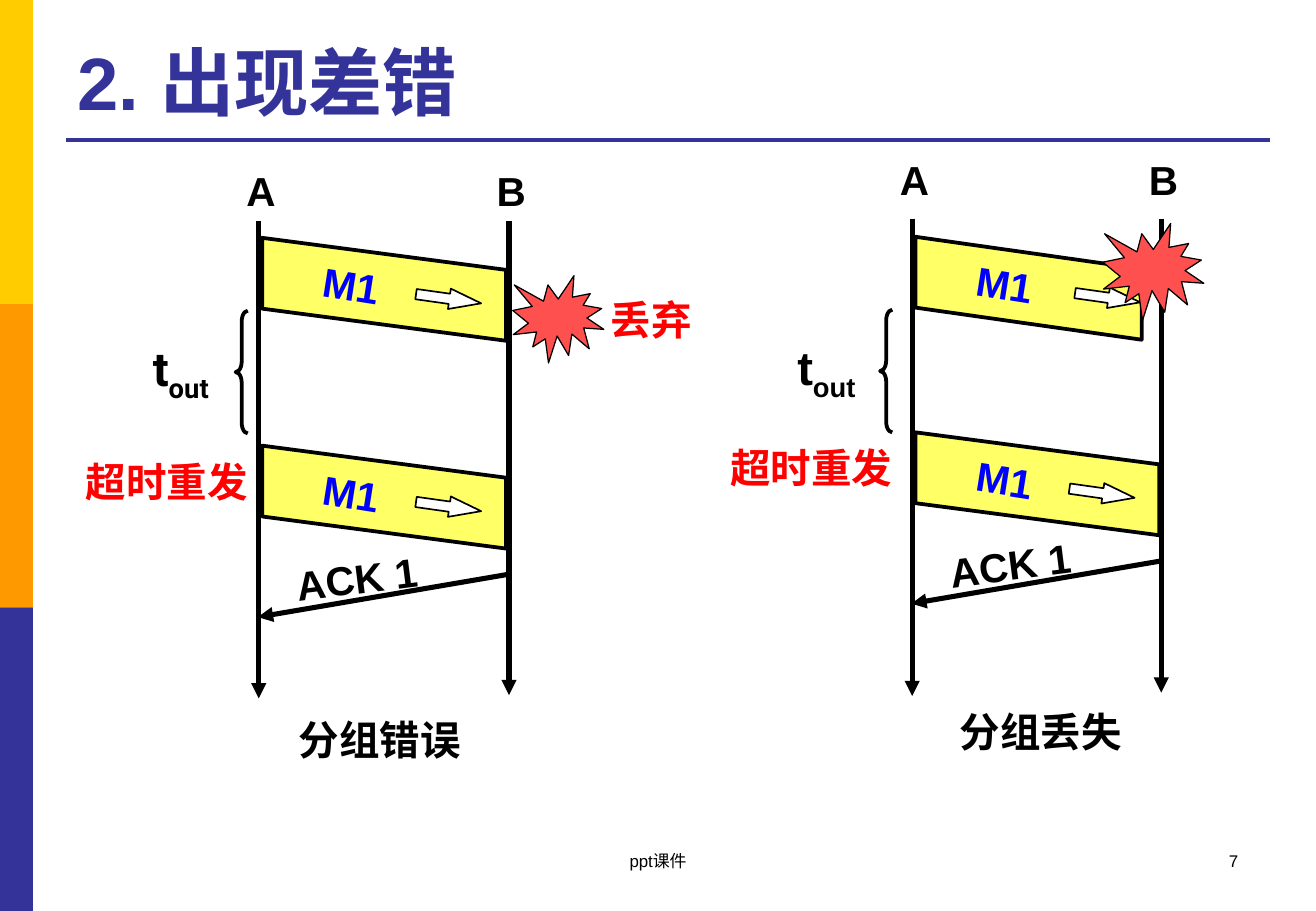
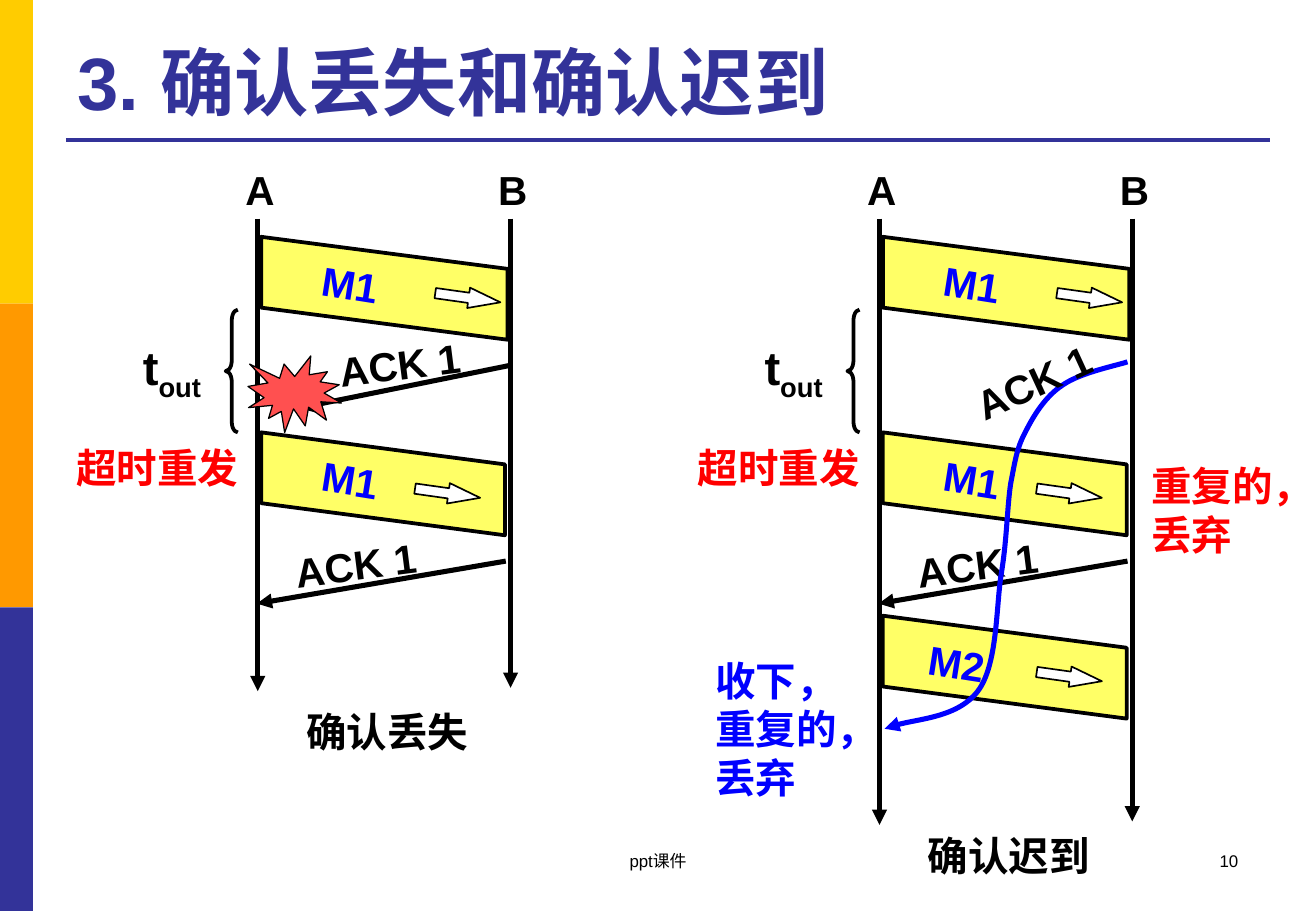
from dataclasses import dataclass

from lxml import etree
from pptx import Presentation
from pptx.dml.color import RGBColor
from pptx.enum import shapes as kinds, text as styles
from pptx.oxml.ns import qn
from pptx.util import Pt


@dataclass(frozen=True)
class Theme:
    navy: str = "333399"
    bands: tuple = ("FFCC00", "FF9900", "333399")
    black: str = "000000"
    white: str = "FFFFFF"
    red: str = "FF0000"
    blue: str = "0000FF"
    packet: str = "FFFF66"
    burst: str = "FF5050"
    font: str = "Arial"
    title: int = 44
    body: int = 24
    timer: int = 28
    footer: int = 10


T = Theme()
WIDTH, HEIGHT = 780, 540
FOOTER = "ppt课件"
RETRY = "超时重发"
TIMER = [("t", None), ("out", "-25000")]

# Packet shape: width, drop along the width, depth
PACKET_W, PACKET_DROP, PACKET_DEPTH = 144.5, 19, 42
ACK_DROP = 25.2
ACK = dict(start=147, end=-0.5, label=(15, -16))
LOST_ACK = dict(start=149, end=24.5, label=(41, -19))

# In a diagram x is counted from the time line of A, y from the top of the slide.
# Packets: label, top, width, arrow x, label x
NORMAL = (PACKET_W, 91, 29)
WIDE = (146, 103, 29)
LATE_CURVE = [
    (147, 214.5),
    (140.4, 216.7), (118.8, 221), (108.7, 228.2),
    (98.6, 234.7), (91.4, 246.2), (86.4, 256.3),
    (81.4, 265.7), (80.6, 272.2), (77.8, 286.6),
    (75.6, 301), (75.6, 320.4), (72, 341.3),
    (69.1, 361.4), (69.8, 394.6), (58.3, 409.7),
    (46.8, 424.8), (14.4, 427), (3, 432),
]

SLIDES = [
    dict(title="2. 出现差错", number="7", diagrams=[
        dict(a=153.4, gap=148.3, label_y=95, top=131, bottom=414,
             packets=[("M1", 141, *NORMAL), ("M1", 264.2, *NORMAL)],
             acks=[(340.6, ACK)], timer_x=-13.7,
             timer_fonts=("Roboto", "Noto Sans CJK SC"),
             burst=(150.5, 163.4, 54, 51.8),
             notes=[(["丢弃"], T.red, 201.6, 171.4, 63.4)],
             caption=("分组错误", 16.6, 420.5)),
        dict(a=540.7, gap=147.6, label_y=88.6, top=129.6, bottom=412.6,
             packets=[("M1", 140.4, 134, 94.3, 29), ("M1", 256.3, *NORMAL)],
             acks=[(332.6, ACK)], timer_x=-19,
             burst=(113, 132.5, 59.8, 57.6),
             caption=("分组丢失", 21, 415.4)),
    ]),
    dict(title="3. 确认丢失和确认迟到", number="10", diagrams=[
        dict(a=152.8, gap=149.8, label_y=94.3, top=129.6, bottom=409.7,
             packets=[("M1", 140.4, *WIDE), ("M1", 256.3, *NORMAL)],
             acks=[(332.6, ACK), (216.7, LOST_ACK)], timer_x=-19,
             burst=(-5.8, 211, 55.4, 45.4),
             caption=("确认丢失", 21.6, 415.4)),
        dict(a=521.3, gap=149.8, label_y=94.3, top=129.6, bottom=488.9,
             packets=[("M1", 140.4, *WIDE), ("M1", 256.3, *NORMAL),
                      ("M2", 365, PACKET_W, 91, 20)],
             acks=[(332.6, ACK)], timer_x=-19,
             late=(LATE_CURVE, 48.2, 208),
             notes=[(["收下，", "重复的，", "丢弃"], T.blue, -104.4, 385.2, 118),
                    (["重复的，", "丢弃"], T.red, 154, 270, 114.5)],
             caption=("确认迟到", 21.6, 488.9)),
    ]),
]


def box(x, y, w, h):
    return Pt(x), Pt(y), Pt(w), Pt(h)


def rgb(colour):
    return RGBColor.from_string(colour)


def write(slide, lines, x, y, w, h, size=T.body, colour=T.black, bold=True,
          font=T.font, align="LEFT", anchor="TOP", angle=0):
    """Add a text box; a line is a string or a list of (text, baseline)."""
    area = slide.shapes.add_textbox(*box(x, y, w, h))
    area.rotation = angle
    frame = area.text_frame
    frame.word_wrap = False
    frame.vertical_anchor = styles.MSO_ANCHOR[anchor]
    if align != "LEFT":
        frame.word_wrap = True
    for i, line in enumerate(lines):
        paragraph = frame.add_paragraph() if i else frame.paragraphs[0]
        paragraph.alignment = styles.PP_ALIGN[align]
        for part, baseline in [(line, None)] if isinstance(line, str) else line:
            run = paragraph.add_run()
            run.text = part
            if baseline:
                run._r.get_or_add_rPr().set("baseline", baseline)
        paragraph.font.name = font
        paragraph.font.size = Pt(size)
        paragraph.font.bold = bold
        paragraph.font.color.rgb = rgb(colour)


def paint(shape, fill, line, weight=0):
    shape.shadow.inherit = False
    if fill:
        shape.fill.solid()
        shape.fill.fore_color.rgb = rgb(fill)
    else:
        shape.fill.background()
    if line:
        shape.line.color.rgb = rgb(line)
        shape.line.width = Pt(weight)
    else:
        shape.line.fill.background()
    return shape


def preset(slide, kind, area, fill, line=None, weight=0):
    shape = slide.shapes.add_shape(kinds.MSO_SHAPE[kind], *box(*area))
    return paint(shape, fill, line, weight)


def outline(slide, points, fill, line, weight, close):
    (x, y), *rest = [(Pt(px), Pt(py)) for px, py in points]
    builder = slide.shapes.build_freeform(x, y, scale=1.0)
    builder.add_line_segments(rest, close=close)
    return paint(builder.convert_to_shape(), fill, line, weight)


def add_arrowhead(shape):
    etree.SubElement(shape.line._get_or_add_ln(), qn("a:tailEnd"), type="triangle")


def straight(slide, x1, y1, x2, y2, colour=T.black, weight=3, arrow=True):
    line = slide.shapes.add_connector(
        kinds.MSO_CONNECTOR.STRAIGHT, Pt(x1), Pt(y1), Pt(x2), Pt(y2))
    line.line.color.rgb = rgb(colour)
    line.line.width = Pt(weight)
    etree.SubElement(line._element.spPr, qn("a:effectLst"))
    if arrow:
        add_arrowhead(line)


def curved_arrow(slide, points, colour):
    """Draw Bézier pieces: a start, then two controls and an end for each."""
    curve = outline(slide, points, None, colour, 3, close=False)
    route = curve._element.find(".//" + qn("a:path"))
    steps = route.findall(qn("a:lnTo"))
    for i in range(0, len(steps), 3):
        piece = etree.SubElement(route, qn("a:cubicBezTo"))
        for step in steps[i:i + 3]:
            piece.append(step[0])
            route.remove(step)
    add_arrowhead(curve)


def add_packet(slide, left, label, top, width, arrow_x, label_x):
    right, low = left + width, top + PACKET_DROP
    corners = [(left, top), (right, low), (right, low + PACKET_DEPTH),
               (left, top + PACKET_DEPTH)]
    outline(slide, corners, T.packet, T.black, 2.25, close=True)
    arrow = preset(slide, "RIGHT_ARROW", (left + arrow_x, top + 30, 39, 12.2),
                   T.white, T.black, 1)
    arrow.adjustments[1] = 1.56
    arrow.rotation = 8
    write(slide, [label], left + label_x, top + 10, 48.2, 36, colour=T.blue, angle=9)


def add_ack_label(slide, x, y, angle=352.8):
    write(slide, ["ACK 1"], x, y, 87, 36.5, angle=angle)


def add_timer(slide, a, x, first, second, fonts):
    """Add the timeout brace between two packets and the retry label."""
    brace = preset(slide, "LEFT_BRACE", (a + x, first + 43.2, 7.2, 72.7),
                   None, T.black, 2.25)
    brace.adjustments[0] = 0.87
    write(slide, [TIMER], a + x - 56.2, first + 56.5, 55, 41, size=T.timer, font=fonts[0])
    write(slide, [RETRY], a + x - 95.8, second + 3, 111, 36, colour=T.red, font=fonts[1])


def add_diagram(slide, d):
    a = d["a"]
    b = a + d["gap"]
    for name, x, bottom in (("A", a, d["bottom"]), ("B", b, d["bottom"] - 2)):
        straight(slide, x, d["top"], x, bottom)
        write(slide, [name], x - 14.4, d["label_y"], 31.7, 36)
    for packet in d["packets"]:
        add_packet(slide, a + 2, *packet)
    for y, ack in d["acks"]:
        drop = ACK_DROP
        straight(slide, a + ack["start"], y, a + ack["end"], y + drop)
        dx, dy = ack["label"]
        add_ack_label(slide, a + dx, y + dy)
    if "burst" in d:
        x, *rest = d["burst"]
        preset(slide, "EXPLOSION1", (a + x, *rest), T.burst, T.black, 0.75)
    tops = [packet[1] for packet in d["packets"]]
    add_timer(slide, a, d["timer_x"], *tops[:2], d.get("timer_fonts", (T.font, T.font)))
    if "late" in d:
        points, x, y = d["late"]
        curved_arrow(slide, [(a + px, py) for px, py in points], T.blue)
        add_ack_label(slide, a + x, y, angle=335.3)
    for lines, colour, x, y, w in d.get("notes", []):
        write(slide, lines, a + x, y, w, 7 + 29 * len(lines), colour=colour)
    caption, x, y = d["caption"]
    write(slide, [caption], a + x, y, 112, 36)


def add_frame(slide, title, number):
    """Add the side bands, title, rule and footer."""
    band_h = HEIGHT / len(T.bands)
    for i, colour in enumerate(T.bands):
        preset(slide, "RECTANGLE", (0, i * band_h, 19.5, band_h), colour)
    straight(slide, 39, 82.8, 753, 82.8, T.navy, 2.25, arrow=False)
    write(slide, [title], 39, 15, 714, 62.8, size=T.title, colour=T.navy, anchor="BOTTOM")
    for words, x, w, align in ((FOOTER, 266.5, 247, "CENTER"), (number, 559, 182, "RIGHT")):
        write(slide, [words], x, 500.4, w, 36, size=T.footer, bold=False, align=align)


def main():
    deck = Presentation()
    deck.slide_width, deck.slide_height = Pt(WIDTH), Pt(HEIGHT)
    for content in SLIDES:
        slide = deck.slides.add_slide(deck.slide_layouts[6])
        add_frame(slide, content["title"], content["number"])
        for diagram in content["diagrams"]:
            add_diagram(slide, diagram)
    deck.save("out.pptx")


if __name__ == "__main__":
    main()
